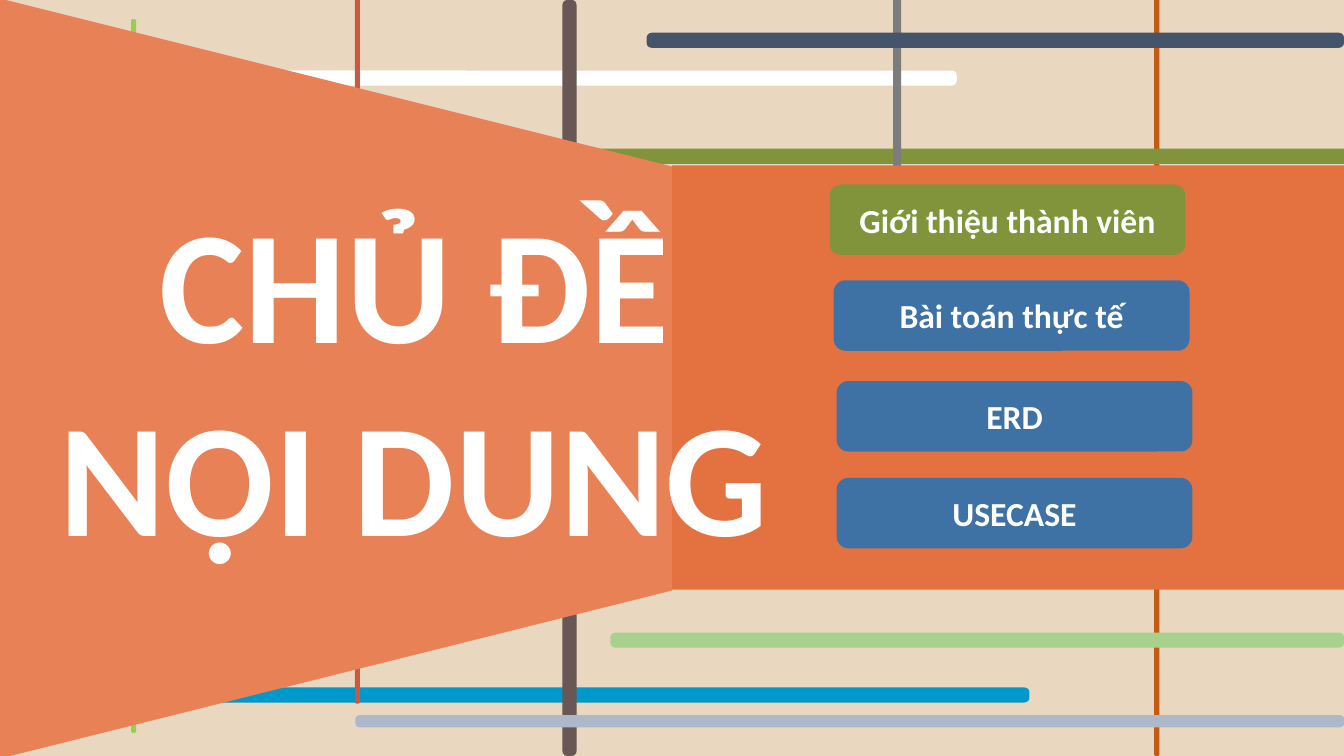
from dataclasses import dataclass

from pptx import Presentation
from pptx.dml.color import RGBColor
from pptx.enum.shapes import MSO_SHAPE
from pptx.enum.text import MSO_ANCHOR, MSO_AUTO_SIZE, PP_ALIGN
from pptx.shapes.autoshape import Shape
from pptx.shapes.shapetree import _BaseGroupShapes
from pptx.text.text import TextFrame
from pptx.util import Inches, Pt

WIDTH = Inches(13.333)
HEIGHT = Inches(7.5)
FONT = "Calibri"

WHITE = RGBColor(0xFF, 0xFF, 0xFF)
SAND = RGBColor(0xE9, 0xD7, 0xBF)
LIME = RGBColor(0x92, 0xD0, 0x50)
RUST = RGBColor(0xC5, 0x5A, 0x11)
SKY = RGBColor(0x00, 0x99, 0xCC)
BROWN = RGBColor(0x69, 0x57, 0x55)
OLIVE = RGBColor(0x81, 0x94, 0x3B)
BRICK = RGBColor(0xCC, 0x58, 0x43)
MINT = RGBColor(0xA9, 0xD1, 0x8E)
GRAY = RGBColor(0x7C, 0x7C, 0x7C)
NAVY = RGBColor(0x44, 0x54, 0x6A)
LAVENDER = RGBColor(0xAD, 0xB9, 0xCA)
ORANGE = RGBColor(0xE4, 0x72, 0x40)
CORAL = RGBColor(0xE8, 0x81, 0x56)
BLUE = RGBColor(0x3E, 0x72, 0xA5)


@dataclass(frozen=True)
class Area:
    """Percentages of the slide's width and height."""

    left: float
    top: float
    width: float
    height: float

    def lengths(self) -> tuple[int, int, int, int]:
        return (
            int(WIDTH * self.left / 100),
            int(HEIGHT * self.top / 100),
            int(WIDTH * self.width / 100),
            int(HEIGHT * self.height / 100),
        )


@dataclass(frozen=True)
class Bar:
    area: Area
    color: RGBColor


@dataclass(frozen=True)
class Button:
    label: str
    left: float
    top: float
    color: RGBColor


BARS = [
    Bar(Area(9.75, 2.53, 0.38, 94.4), LIME),
    Bar(Area(0, 9.33, 71.2, 2), WHITE),
    Bar(Area(85.88, -0.53, 0.38, 100.53), RUST),
    Bar(Area(0, 90.93, 76.6, 2), SKY),
    Bar(Area(41.85, 0, 1.05, 100), BROWN),
    Bar(Area(18.94, 19.67, 81.45, 2), OLIVE),
    Bar(Area(26.4, -1.33, 0.38, 94.4), BRICK),
    Bar(Area(45.41, 83.67, 54.6, 2), MINT),
    Bar(Area(66.45, -1.33, 0.6, 61.47), GRAY),
    Bar(Area(48.11, 4.33, 51.9, 2), NAVY),
    Bar(Area(26.44, 94.6, 73.58, 1.6), LAVENDER),
]

BUTTONS = [
    Button("Giới thiệu thành viên", 61.73, 24.4, OLIVE),
    Button("Bài toán thực tế", 62.03, 37.07, BLUE),
    Button("ERD", 62.25, 50.4, BLUE),
    Button("USECASE", 62.25, 63.2, BLUE),
]


def add_block(
    shapes: _BaseGroupShapes, kind: MSO_SHAPE, area: Area, color: RGBColor
) -> Shape:
    block = shapes.add_shape(kind, *area.lengths())
    block.shadow.inherit = False
    block.fill.solid()
    block.fill.fore_color.rgb = color
    block.line.fill.background()
    return block


def write(frame: TextFrame, words: str, size: float) -> None:
    frame.word_wrap = True
    paragraph = frame.paragraphs[0]
    paragraph.text = words
    paragraph.alignment = PP_ALIGN.CENTER
    font = paragraph.font
    font.name = FONT
    font.size = Pt(size)
    font.bold = True
    font.color.rgb = WHITE


def add_bar(shapes: _BaseGroupShapes, bar: Bar) -> None:
    block = add_block(shapes, MSO_SHAPE.ROUNDED_RECTANGLE, bar.area, bar.color)
    block.adjustments[0] = 0.34


def add_banner(shapes: _BaseGroupShapes) -> None:
    banner = shapes.add_group_shape().shapes
    add_block(banner, MSO_SHAPE.RECTANGLE, Area(50, 21.87, 50, 56.13), ORANGE)
    wedge = add_block(
        banner, MSO_SHAPE.TRAPEZOID, Area(-3.27, 5.6, 56.55, 88.93), CORAL
    )
    wedge.rotation = 90
    title = banner.add_textbox(*Area(3, 23.47, 55.65, 52.93).lengths())
    write(title.text_frame, "CHỦ ĐỀ NỌI DUNG", 115)
    title.text_frame.auto_size = MSO_AUTO_SIZE.SHAPE_TO_FIT_TEXT


def add_button(shapes: _BaseGroupShapes, button: Button) -> None:
    area = Area(button.left, button.top, 26.48, 9.33)
    block = add_block(shapes, MSO_SHAPE.ROUNDED_RECTANGLE, area, button.color)
    block.text_frame.vertical_anchor = MSO_ANCHOR.MIDDLE
    write(block.text_frame, button.label, 24)


def main() -> None:
    deck = Presentation()
    deck.slide_width = WIDTH
    deck.slide_height = HEIGHT
    shapes = deck.slides.add_slide(deck.slide_layouts[6]).shapes
    add_block(shapes, MSO_SHAPE.RECTANGLE, Area(0, 0, 100, 100), SAND)
    for bar in BARS:
        add_bar(shapes, bar)
    add_banner(shapes)
    for button in BUTTONS:
        add_button(shapes, button)
    deck.save("out.pptx")


if __name__ == "__main__":
    main()
